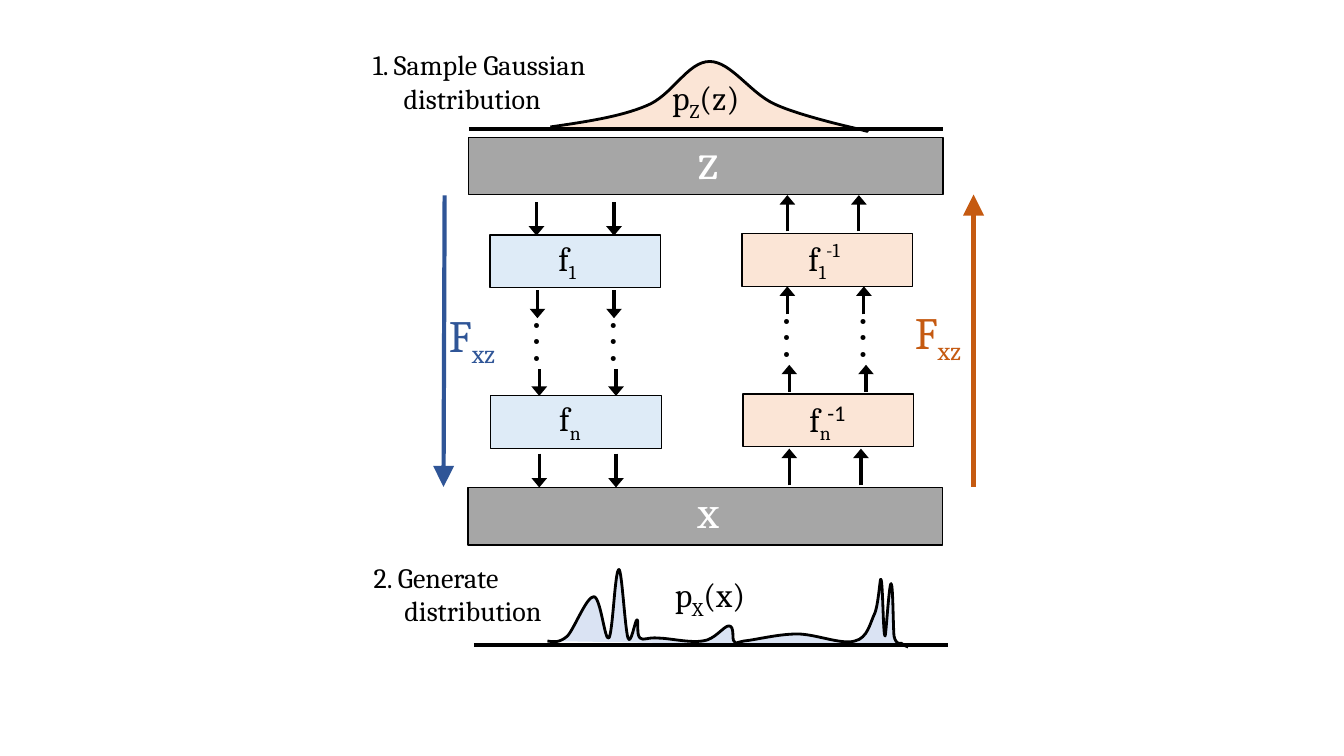
"""Build a slide showing a normalizing flow between a Gaussian z and data x."""
import dataclasses

import lxml.etree
import pptx
import pptx.dml.color
import pptx.enum.shapes
import pptx.enum.text
import pptx.oxml.ns
import pptx.util

Pt = pptx.util.Pt
qn = pptx.oxml.ns.qn


@dataclasses.dataclass(frozen=True)
class Theme:
    serif: str = "Cambria"
    sans: str = "Calibri"
    ink: str = "000000"
    white: str = "FFFFFF"
    bar: str = "A6A6A6"
    blue_fill: str = "DEEBF7"
    data_fill: str = "DAE3F3"
    orange_fill: str = "FBE5D6"
    blue: str = "2F5597"
    orange: str = "C55A11"
    latent: int = 36
    large: int = 32
    formula: int = 24
    step: int = 20
    exponent: int = 16
    small_exponent: int = 14


THEME = Theme()
BAR_SIZE = (339.1, 41)
STAGE_SIZE = (121.9, 37.6)
AXIS_LENGTH = 338.4
STEP_INDENT = 22

GAUSSIAN_SIZE = (226.8, 49.7)
GAUSSIAN_CURVE = [
    (393.1, 90.7),
    (417.6, 87.1), (442.8, 83.5), (461.5, 75.6),
    (480.2, 68.4), (491, 43.9), (506.9, 43.9),
    (522, 43.9), (535.7, 66.2), (553, 74.2),
    (571, 82.8), (613.4, 92.2), (613.4, 92.2),
    (623.5, 95), (619.2, 93.6), (614.9, 92.2),
]
DATA_SIZE = (257.7, 55.4)
DATA_CURVE = [
    (391, 457.9),
    (395.3, 458.6), (399.6, 459.4), (405.4, 454.3),
    (410.4, 448.6), (419, 426.2), (424.1, 426.2),
    (429.1, 426.2), (432, 458.6), (434.9, 455.8),
    (437.8, 452.2), (439.2, 406.8), (442.1, 406.8),
    (444.2, 406.8), (446.4, 449.3), (448.6, 455.8),
    (450.7, 461.5), (453.6, 442.8), (455, 442.8),
    (456.5, 442.8), (454.3, 453.6), (457.2, 455.8),
    (459.4, 457.9), (463, 455), (470.2, 455.8),
    (477.4, 455.8), (493.2, 459.4), (501.8, 457.9),
    (510.5, 457.2), (517, 447.1), (520.6, 447.1),
    (524.9, 447.1), (522.7, 456.5), (524.2, 457.9),
    (526.3, 460.1), (524.2, 459.4), (531.4, 457.9),
    (539.3, 457.2), (555.8, 452.9), (569.5, 452.9),
    (582.5, 452.9), (601.2, 460.8), (610.6, 457.9),
    (619.9, 455.8), (621.4, 445), (625, 437.8),
    (627.8, 429.8), (628.6, 411.1), (629.3, 414),
    (630.7, 416.9), (630.7, 453.6), (632.2, 454.3),
    (632.9, 454.3), (635, 416.9), (636.5, 416.9),
    (637.9, 416.9), (637.9, 447.1), (638.6, 454.3),
    (640.1, 461.5), (643.7, 459.4), (643.7, 459.4),
    (645.1, 460.8), (646.6, 461.5), (648.7, 462.2),
]

BARS = [(334.6, 98.1), (334.2, 348.3)]
AXES = [(334.9, 92.2), (338.4, 460.8)]
STAGES = [
    (THEME.blue_fill, [(349.9, 167.9), (350.6, 282.6)]),
    (THEME.orange_fill, [(529.9, 167), (530.7, 281.5)]),
]
FLOW_ARROWS = [
    (144.5, 168.3, (383.2, 438.6)), (207.4, 227.3, (383.9, 438.6)),
    (263.6, 282.8, (385.2, 440)), (324, 348.2, (385.2, 440)),
    (165.3, 139.4, (562.4, 613.5)), (224.6, 204.6, (562.4, 617.1)),
    (280.2, 260.6, (563.8, 618.6)), (346.7, 320.5, (563.8, 615)),
]
DIRECTIONS = [
    ((317.6, 139.5), (316.8, 347.8), THEME.blue),
    ((695.4, 347.8), (695.4, 139), THEME.orange),
]
DOTS = [(226.7, (368.9, 423.7)), (223.9, (547.5, 602.2))]

FORMULAS = [
    (491, 88.6, 31, THEME.latent, THEME.white, ("z",)),
    (491, 342, 31, THEME.large, THEME.white, ("x",)),
    (473, 51.1, 67, THEME.formula, THEME.ink, ("p", "Z", "(z)")),
    (474.9, 406.5, 70.6, THEME.formula, THEME.ink, ("p", "X", "(x)")),
    (313.6, 216.4, 54, THEME.large, THEME.blue, ("F", "xz")),
    (646.4, 213.8, 54, THEME.large, THEME.orange, ("F", "xz")),
    (391.7, 166.3, 29.5, THEME.formula, THEME.ink, ("f", "1")),
    (570.4, 166.3, 29.5, THEME.formula, THEME.ink, ("f", "1")),
    (392.4, 281, 31.7, THEME.formula, THEME.ink, ("f", "n")),
    (571, 281.3, 31.7, THEME.formula, THEME.ink, ("f", "n")),
]
EXPONENTS = [
    (583.1, 166.3, 26, THEME.small_exponent, THEME.serif),
    (583.9, 281.3, 27.4, THEME.exponent, THEME.sans),
]
STEPS = [
    (259.2, 30.7, 192.2, ["1. Sample Gaussian \ndistribution"]),
    (259.8, 396.7, 145.4, ["2. Generate", "distribution"]),
]


def rgb(value):
    return pptx.dml.color.RGBColor.from_string(value)


def paint(shape, fill, line_width):
    shape.shadow.inherit = False
    shape.fill.solid()
    shape.fill.fore_color.rgb = rgb(fill)
    shape.line.color.rgb = rgb(THEME.ink)
    shape.line.width = Pt(line_width)


def add_box(slide, corner, size, fill):
    box = slide.shapes.add_shape(
        pptx.enum.shapes.MSO_SHAPE.RECTANGLE, *map(Pt, (*corner, *size)))
    paint(box, fill, 1)


def add_density(slide, curve, size, fill):
    builder = slide.shapes.build_freeform(*map(Pt, curve[0]))
    builder.add_line_segments([tuple(map(Pt, point)) for point in curve[1:]], close=False)
    density = builder.convert_to_shape()
    density.width, density.height = map(Pt, size)
    outline = density._element.find(".//" + qn("a:path"))
    outline.set("w", str(density.width))
    outline.set("h", str(density.height))
    for index, segment in enumerate(outline.findall(qn("a:lnTo"))):
        if index % 3 == 0:
            bezier = lxml.etree.SubElement(outline, qn("a:cubicBezTo"))
        bezier.append(segment[0])
        outline.remove(segment)
    paint(density, fill, 2)


def add_line(slide, start, end, color, width, head_length=None):
    connector = slide.shapes.add_connector(
        pptx.enum.shapes.MSO_CONNECTOR.STRAIGHT, *map(Pt, (*start, *end)))
    connector.line.color.rgb = rgb(color)
    connector.line.width = Pt(width)
    if head_length:
        lxml.etree.SubElement(connector.line._get_or_add_ln(), qn("a:tailEnd"),
                              type="triangle", w="lg", len=head_length)
    lxml.etree.SubElement(connector._element.spPr, qn("a:effectLst"))


def add_text(slide, left, top, width, size, color, paragraphs, font=THEME.serif, bold=False):
    line_count = sum(1 + "".join(pieces).count("\n") for pieces in paragraphs)
    height = 1.2 * size * line_count + 7.2
    box = slide.shapes.add_textbox(*map(Pt, (left, top, width, height)))
    frame = box.text_frame
    frame.word_wrap = False
    frame.auto_size = pptx.enum.text.MSO_AUTO_SIZE.SHAPE_TO_FIT_TEXT
    for row, pieces in enumerate(paragraphs):
        paragraph = frame.add_paragraph() if row else frame.paragraphs[0]
        if line_count > 1:
            properties = paragraph._p.get_or_add_pPr()
            properties.set("marL", str(Pt(STEP_INDENT)))
            properties.set("indent", str(0 if row else -Pt(STEP_INDENT)))
        for position, piece in enumerate(pieces):
            for line_index, line in enumerate(piece.split("\n")):
                if line_index:
                    paragraph.add_line_break()
                run = paragraph.add_run()
                run.text = line
                run.font.name = font
                run.font.size = Pt(size)
                run.font.bold = bold
                run.font.color.rgb = rgb(color)
                if position == 1:
                    run._r.get_or_add_rPr().set("baseline", "-25000")
    return box


presentation = pptx.Presentation()
presentation.slide_width, presentation.slide_height = Pt(960), Pt(540)
slide = presentation.slides.add_slide(presentation.slide_layouts[6])

add_density(slide, GAUSSIAN_CURVE, GAUSSIAN_SIZE, THEME.orange_fill)
add_density(slide, DATA_CURVE, DATA_SIZE, THEME.data_fill)
for corner in BARS:
    add_box(slide, corner, BAR_SIZE, THEME.bar)
for fill, corners in STAGES:
    for corner in corners:
        add_box(slide, corner, STAGE_SIZE, fill)
for left, y in AXES:
    add_line(slide, (left, y), (left + AXIS_LENGTH, y), THEME.ink, 3)
for start, end, color in DIRECTIONS:
    add_line(slide, start, end, color, 3, "lg")
for start_y, end_y, columns in FLOW_ARROWS:
    for x in columns:
        add_line(slide, (x, start_y), (x, end_y), THEME.ink, 2.25, "med")
for top, lefts in DOTS:
    for left in lefts:
        add_text(slide, left, top, 44.6, THEME.formula, THEME.ink,
                 [(". . .",)], THEME.sans, True).rotation = 90
for left, top, width, size, color, pieces in FORMULAS:
    add_text(slide, left, top, width, size, color, [pieces])
for left, top, width, size, font in EXPONENTS:
    add_text(slide, left, top, width, size, THEME.ink, [("-1",)], font)
for left, top, width, paragraphs in STEPS:
    add_text(slide, left, top, width, THEME.step, THEME.ink, [(text,) for text in paragraphs])

presentation.save("out.pptx")
